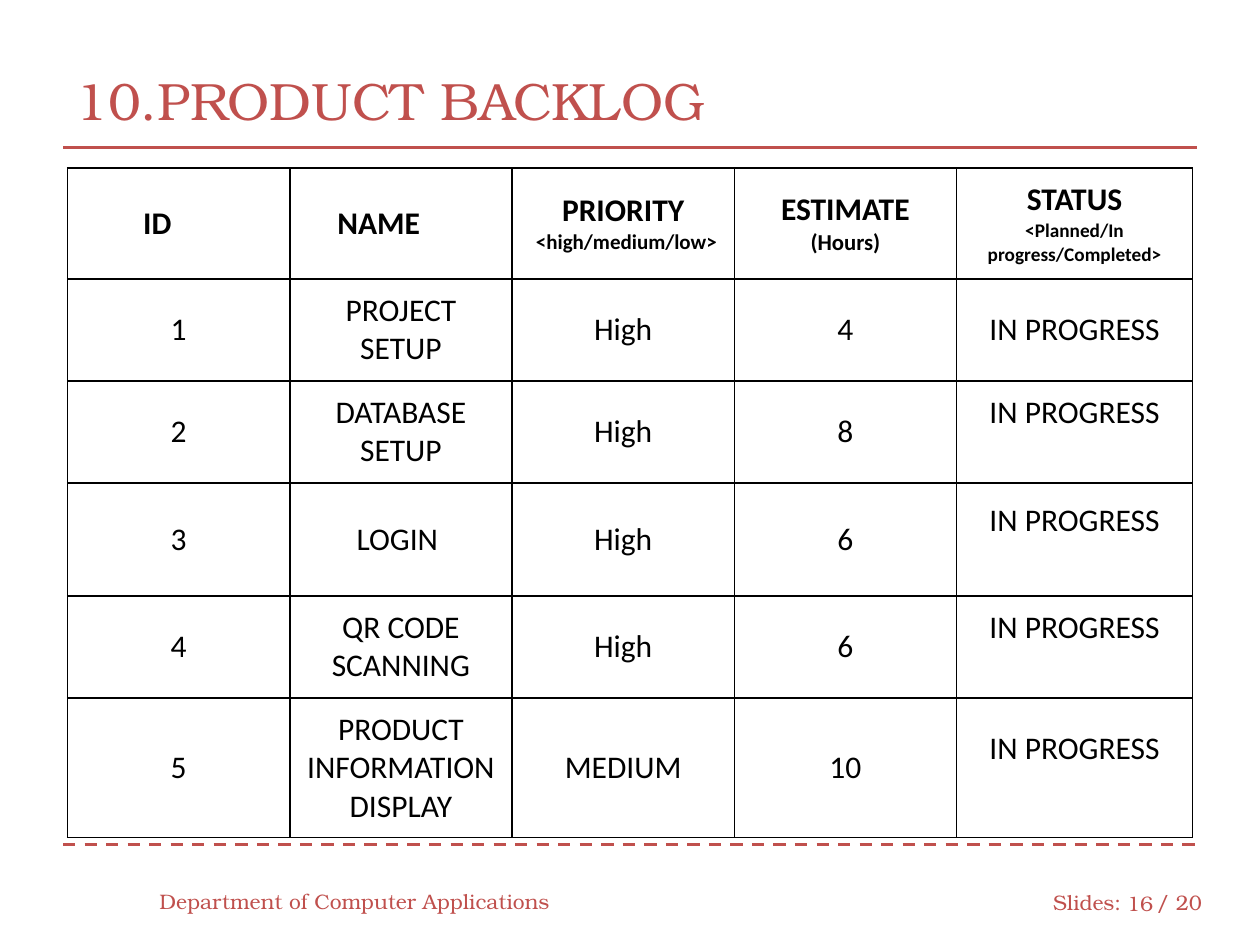
from pptx import Presentation
from pptx.dml.color import RGBColor
from pptx.enum.dml import MSO_LINE
from pptx.enum.shapes import MSO_CONNECTOR
from pptx.enum.text import MSO_ANCHOR, MSO_AUTO_SIZE, PP_ALIGN
from pptx.oxml.ns import qn
from pptx.util import Pt
from lxml.etree import SubElement

RED = RGBColor(0xC0, 0x50, 0x4D)
BLACK = RGBColor(0, 0, 0)
WHITE = RGBColor(0xFF, 0xFF, 0xFF)
SERIF = "TeX Gyre Bonum"
SANS = "Calibri"

COLUMN_WIDTHS = [127, 127, 127, 127, 135]
ROW_HEIGHTS = [63.4, 58.3, 58.3, 64.5, 58.3, 80]
CELL_INSET = 7.2
RAISED_INSET = 29

HEADINGS = [
    [("ID", 18, 36)],
    [("NAME", 18, 20)],
    [("PRIORITY", 18, None), ("<high/medium/low>", 12, 6.5)],
    [("ESTIMATE", 18, None), ("(Hours)", 13, None)],
    [("STATUS", 18, None), ("<Planned/In progress/Completed>", 11, None)],
]
BACKLOG = [
    ("1", "PROJECT SETUP", "High", "4", "IN PROGRESS"),
    ("2", "DATABASE SETUP", "High", "8", "IN PROGRESS"),
    ("3", "LOGIN ", "High", "6", "IN PROGRESS"),
    ("4", "QR CODE SCANNING", "High", "6", "IN PROGRESS"),
    ("5", "PRODUCT INFORMATION DISPLAY", "MEDIUM", "10", "IN PROGRESS"),
]


def add_run(paragraph, text, size, font, color, bold=False):
    run = paragraph.add_run()
    run.text = text
    run.font.size = Pt(size)
    run.font.name = font
    run.font.color.rgb = color
    run.font.bold = bold


def set_title(slide, text):
    title = slide.shapes.title
    title.left, title.top, title.width, title.height = Pt(36), Pt(24), Pt(648), Pt(66)
    frame = title.text_frame
    frame.vertical_anchor = MSO_ANCHOR.MIDDLE
    frame.auto_size = MSO_AUTO_SIZE.NONE
    heading = frame.paragraphs[0]
    heading.alignment = PP_ALIGN.LEFT
    add_run(heading, text, 30, SERIF, RED)


def add_rule(slide, y, dash=None):
    rule = slide.shapes.add_connector(MSO_CONNECTOR.STRAIGHT, Pt(36), Pt(y), Pt(684), Pt(y))
    rule.line.color.rgb = RED
    rule.line.width = Pt(1.75)
    if dash:
        rule.line.dash_style = dash
    SubElement(rule.element.spPr, qn("a:effectLst"))


def add_footer(slide, left, top, width, text, alignment=PP_ALIGN.LEFT):
    footer = slide.shapes.add_textbox(Pt(left), Pt(top), Pt(width), Pt(28.8))
    frame = footer.text_frame
    frame.word_wrap = True
    frame.vertical_anchor = MSO_ANCHOR.MIDDLE
    frame.paragraphs[0].alignment = alignment
    add_run(frame.paragraphs[0], text, 12, SERIF, RED)


def style_cell(cell, bottom_inset):
    cell.vertical_anchor = MSO_ANCHOR.MIDDLE
    cell.margin_left = cell.margin_right = cell.margin_top = Pt(CELL_INSET)
    cell.margin_bottom = Pt(bottom_inset)
    properties = cell._tc.get_or_add_tcPr()
    for side in ("a:lnL", "a:lnR", "a:lnT", "a:lnB"):
        border = SubElement(properties, qn(side), w=str(Pt(1)))
        border_fill = SubElement(border, qn("a:solidFill"))
        SubElement(border_fill, qn("a:srgbClr"), val=str(BLACK))
    cell.fill.solid()
    cell.fill.fore_color.rgb = WHITE


def fill_cell(cell, lines, bold=False, bottom_inset=CELL_INSET):
    style_cell(cell, bottom_inset)
    frame = cell.text_frame
    for number, (text, size, indent) in enumerate(lines):
        paragraph = frame.add_paragraph() if number else frame.paragraphs[0]
        paragraph.alignment = PP_ALIGN.CENTER if indent is None else PP_ALIGN.LEFT
        if indent is not None:
            paragraph._p.get_or_add_pPr().set("marL", str(Pt(indent)))
        add_run(paragraph, text, size, SANS, BLACK, bold)


def add_backlog(slide):
    backlog = slide.shapes.add_table(
        len(ROW_HEIGHTS), len(COLUMN_WIDTHS), Pt(38.6), Pt(96),
        Pt(sum(COLUMN_WIDTHS)), Pt(sum(ROW_HEIGHTS)),
    ).table
    backlog.first_row = False
    backlog.horz_banding = False
    for column, width in zip(backlog.columns, COLUMN_WIDTHS):
        column.width = Pt(width)
    for row, height in zip(backlog.rows, ROW_HEIGHTS):
        row.height = Pt(height)
    for column, lines in enumerate(HEADINGS):
        fill_cell(backlog.cell(0, column), lines, bold=True)
    status_column = len(HEADINGS) - 1
    for row, item in enumerate(BACKLOG, start=1):
        for column, text in enumerate(item):
            raised = column == status_column and row > 1
            inset = RAISED_INSET if raised else CELL_INSET
            fill_cell(backlog.cell(row, column), [(text, 18, None)], bottom_inset=inset)


def main():
    deck = Presentation()
    deck.slide_width, deck.slide_height = Pt(720), Pt(540)
    slide = deck.slides.add_slide(deck.slide_layouts[5])
    add_footer(slide, 594.7, 501.1, 54, "Slides:")
    add_footer(slide, 653.8, 501.1, 41.8, "/ 20")
    add_rule(slide, 482.4, MSO_LINE.DASH)
    add_rule(slide, 84.2)
    set_title(slide, "10.PRODUCT BACKLOG")
    add_footer(slide, 84, 500.4, 240, "Department of Computer Applications")
    add_footer(slide, 635.8, 501.8, 30.2, "16", PP_ALIGN.RIGHT)
    add_backlog(slide)
    deck.save("out.pptx")


if __name__ == "__main__":
    main()
